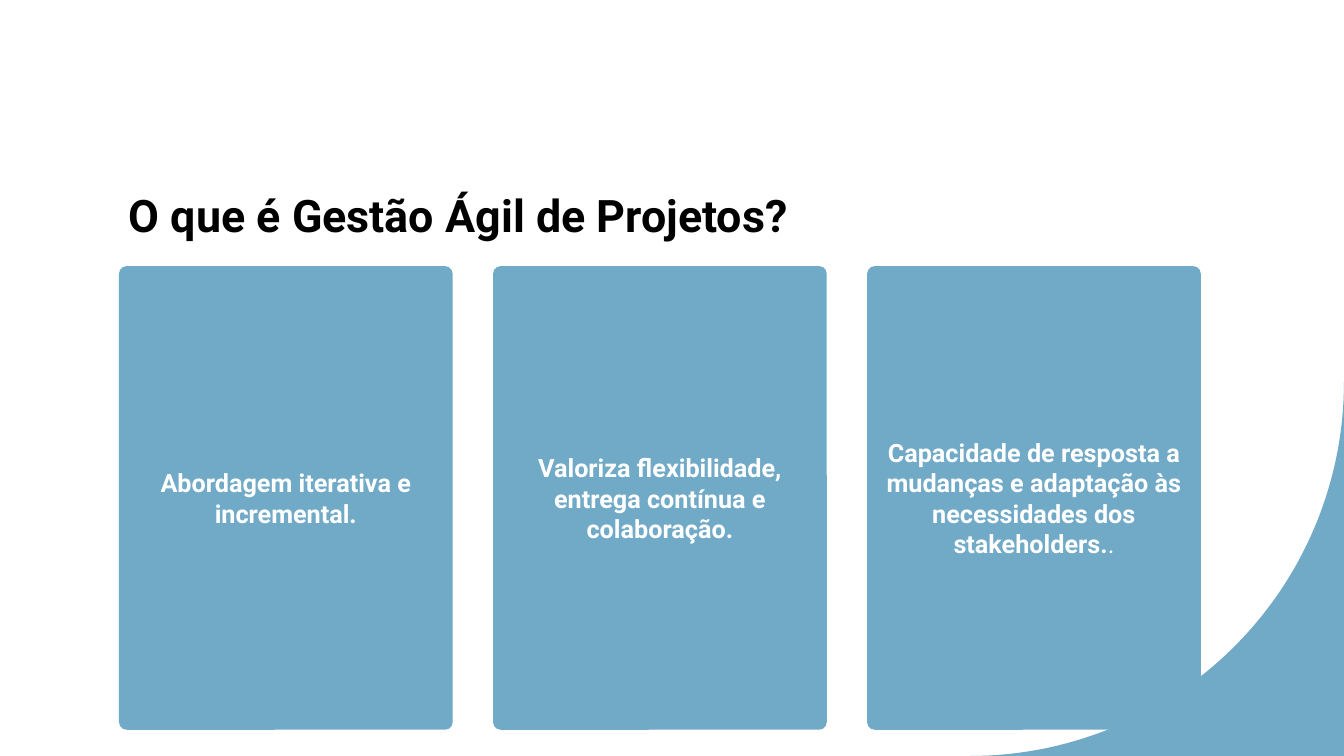
import math
import pptx
import pptx.util
import pptx.dml.color
import pptx.enum.shapes
import pptx.enum.text

Inches = pptx.util.Inches
TEXT = pptx.enum.text
BLUE, WHITE, BLACK = "71AAC7", "FFFFFF", "000000"


def paint(fill, color):
    fill.solid()
    fill.fore_color.rgb = pptx.dml.color.RGBColor.from_string(color)


def style(run, size, color, bold=True):
    run.font.name = "Roboto"
    run.font.size = pptx.util.Pt(size)
    run.font.bold = bold
    paint(run.font.fill, color)


deck = pptx.Presentation()
deck.slide_width, deck.slide_height = Inches(13.33), Inches(7.5)
slide = deck.slides.add_slide(deck.slide_layouts[6])
paint(slide.background.fill, WHITE)

# Corner outside a quarter circle
radius, steps = 3.71, 60
mid_x, mid_y = 13.33 - radius, 7.5 - radius
arc = []
for step in range(steps + 1):
    angle = math.pi / 2 * step / steps
    arc.append((Inches(mid_x + radius * math.cos(angle)),
                Inches(mid_y + radius * math.sin(angle))))
pen = slide.shapes.build_freeform(Inches(13.33), Inches(7.5))
pen.add_line_segments(arc, close=True)
corner = pen.convert_to_shape()
corner.shadow.inherit = False
paint(corner.fill, BLUE)
corner.line.fill.background()

# Title
title = slide.shapes.add_textbox(Inches(1.18), Inches(0.79), Inches(10.88), Inches(1.65))
frame = title.text_frame
frame.word_wrap = True
frame.vertical_anchor = TEXT.MSO_ANCHOR.BOTTOM
frame.text = "O que é Gestão Ágil de Projetos?"
frame.paragraphs[0].line_spacing = 1.1
style(frame.paragraphs[0].runs[0], 32, BLACK)

# Cards: bold text and plain ending
cards = [
    ("Abordagem iterativa e incremental.", ""),
    ("Valoriza flexibilidade, entrega contínua e colaboração.", ""),
    ("Capacidade de resposta a mudanças e adaptação às necessidades dos stakeholders.", "."),
]
for index, (text, end) in enumerate(cards):
    card = slide.shapes.add_shape(
        pptx.enum.shapes.MSO_SHAPE.ROUNDED_RECTANGLE,
        Inches(1.18 + 3.71 * index), Inches(2.64), Inches(3.31), Inches(4.6))
    card.adjustments[0] = 0.023
    card.shadow.inherit = False
    paint(card.fill, BLUE)
    card.line.fill.background()
    frame = card.text_frame
    frame.word_wrap = True
    frame.vertical_anchor = TEXT.MSO_ANCHOR.MIDDLE
    frame.text = text
    para = frame.paragraphs[0]
    para.alignment = TEXT.PP_ALIGN.CENTER
    style(para.runs[0], 18, WHITE)
    if end:
        run = para.add_run()
        run.text = end
        style(run, 18, WHITE, False)

deck.save("out.pptx")
